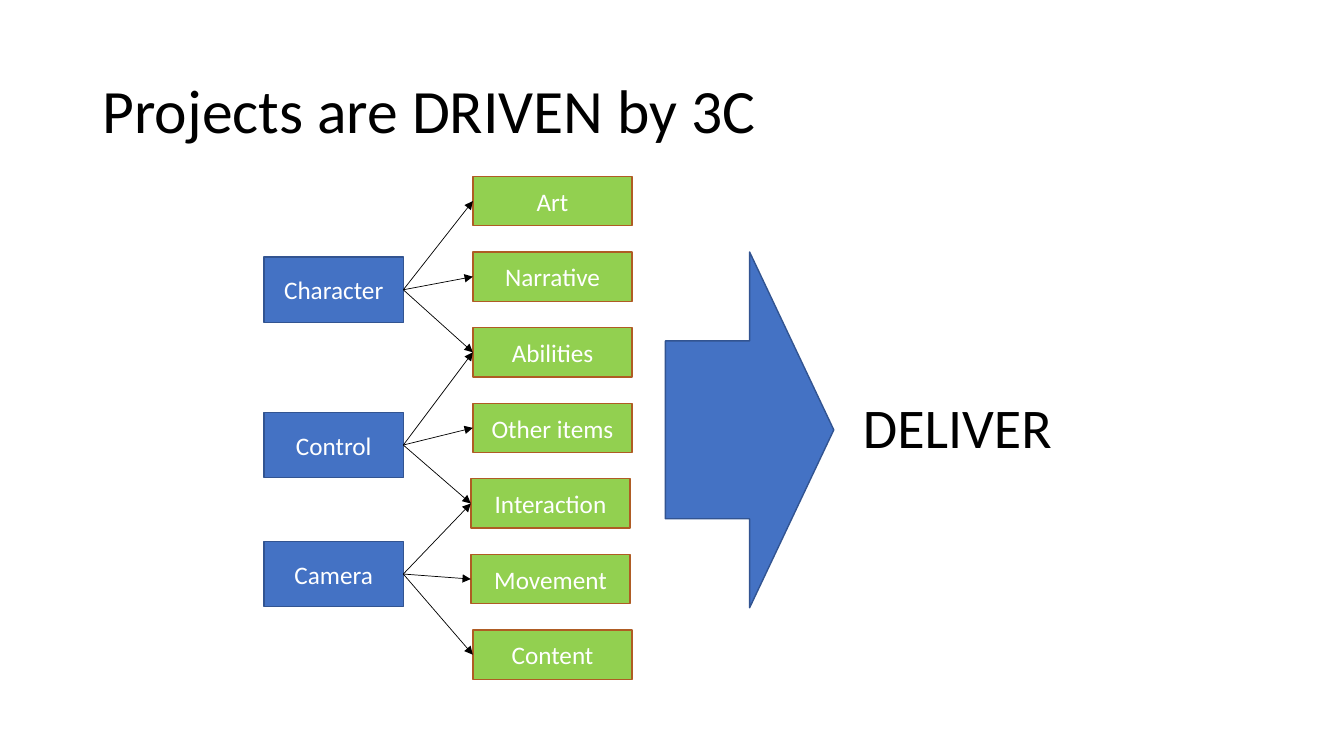
from dataclasses import dataclass

from lxml import etree
from pptx import Presentation
from pptx.dml.color import RGBColor
from pptx.enum.shapes import MSO_CONNECTOR, MSO_SHAPE
from pptx.enum.text import MSO_ANCHOR, PP_ALIGN
from pptx.oxml.ns import qn
from pptx.util import Inches, Pt

RECT, ARROW = MSO_SHAPE.RECTANGLE, MSO_SHAPE.RIGHT_ARROW
STRAIGHT = MSO_CONNECTOR.STRAIGHT
MIDDLE, TOP = MSO_ANCHOR.MIDDLE, MSO_ANCHOR.TOP
CENTER, LEFT = PP_ALIGN.CENTER, PP_ALIGN.LEFT
LEFT_SITE, RIGHT_SITE = 1, 3  # connection sites of a rectangle


@dataclass(frozen=True)
class Theme:
    font: str = "Calibri"
    title_size: int = 44
    deliver_size: int = 40
    box_size: int = 18
    text: RGBColor = RGBColor(0x00, 0x00, 0x00)
    box_text: RGBColor = RGBColor(0xFF, 0xFF, 0xFF)
    blue: RGBColor = RGBColor(0x44, 0x72, 0xC4)
    blue_line: RGBColor = RGBColor(0x32, 0x54, 0x91)
    green: RGBColor = RGBColor(0x92, 0xD0, 0x50)
    green_line: RGBColor = RGBColor(0xAF, 0x5C, 0x24)


theme = Theme()


def write(sp, text, size, color, align=LEFT, anchor=MIDDLE):
    tf = sp.text_frame
    tf.word_wrap = True
    tf.vertical_anchor = anchor
    p = tf.paragraphs[0]
    p.text = text
    p.alignment = align
    font = p.runs[0].font
    font.name, font.size, font.color.rgb = theme.font, Pt(size), color
    return p


def add_block(kind, x, y, w, h, fill, line, text=""):
    sp = s.shapes.add_shape(kind, Inches(x), Inches(y), Inches(w), Inches(h))
    sp.shadow.inherit = False
    sp.fill.solid()
    sp.fill.fore_color.rgb = fill
    sp.line.color.rgb = line
    sp.line.width = Pt(1)
    if text:
        write(sp, text, theme.box_size, theme.box_text, CENTER)
    return sp


prs = Presentation()
prs.slide_width, prs.slide_height = Inches(13.33), Inches(7.5)
s = prs.slides.add_slide(prs.slide_layouts[6])

# Title
title = s.shapes.add_textbox(Inches(0.92), Inches(0.4), Inches(11.5), Inches(1.45))
p = write(title, "Projects are DRIVEN by 3C", theme.title_size, theme.text)
p.line_spacing = 0.9

# Work items, evenly stacked; two sit slightly to the left
ITEMS = [("Art", 4.69), ("Narrative", 4.69), ("Abilities", 4.69),
         ("Other items", 4.69), ("Interaction", 4.67), ("Movement", 4.67),
         ("Content", 4.69)]
items = [add_block(RECT, x, 1.75 + 0.75 * i, 1.58, 0.49,
                   theme.green, theme.green_line, name)
         for i, (name, x) in enumerate(ITEMS)]

# The three Cs, each driving three items and sharing one with the next
DRIVERS = [("Character", 2.55), ("Control", 4.09), ("Camera", 5.37)]
for i, (name, y) in enumerate(DRIVERS):
    driver = add_block(RECT, 2.62, y, 1.38, 0.65,
                       theme.blue, theme.blue_line, name)
    for item in items[2 * i:2 * i + 3]:
        link = s.shapes.add_connector(STRAIGHT, 0, 0, 0, 0)
        link.begin_connect(driver, RIGHT_SITE)
        link.end_connect(item, LEFT_SITE)
        link.line.color.rgb = theme.text
        link.line.width = Pt(0.5)
        etree.SubElement(link.line._get_or_add_ln(), qn("a:tailEnd"), type="triangle")
        etree.SubElement(link._element.spPr, qn("a:effectLst"))

# Outcome
add_block(ARROW, 6.6, 2.5, 1.67, 3.53, theme.blue, theme.blue_line)
deliver = s.shapes.add_textbox(Inches(8.46), Inches(3.85), Inches(2.11), Inches(0.77))
write(deliver, "DELIVER", theme.deliver_size, theme.text, anchor=TOP)

prs.save("out.pptx")
